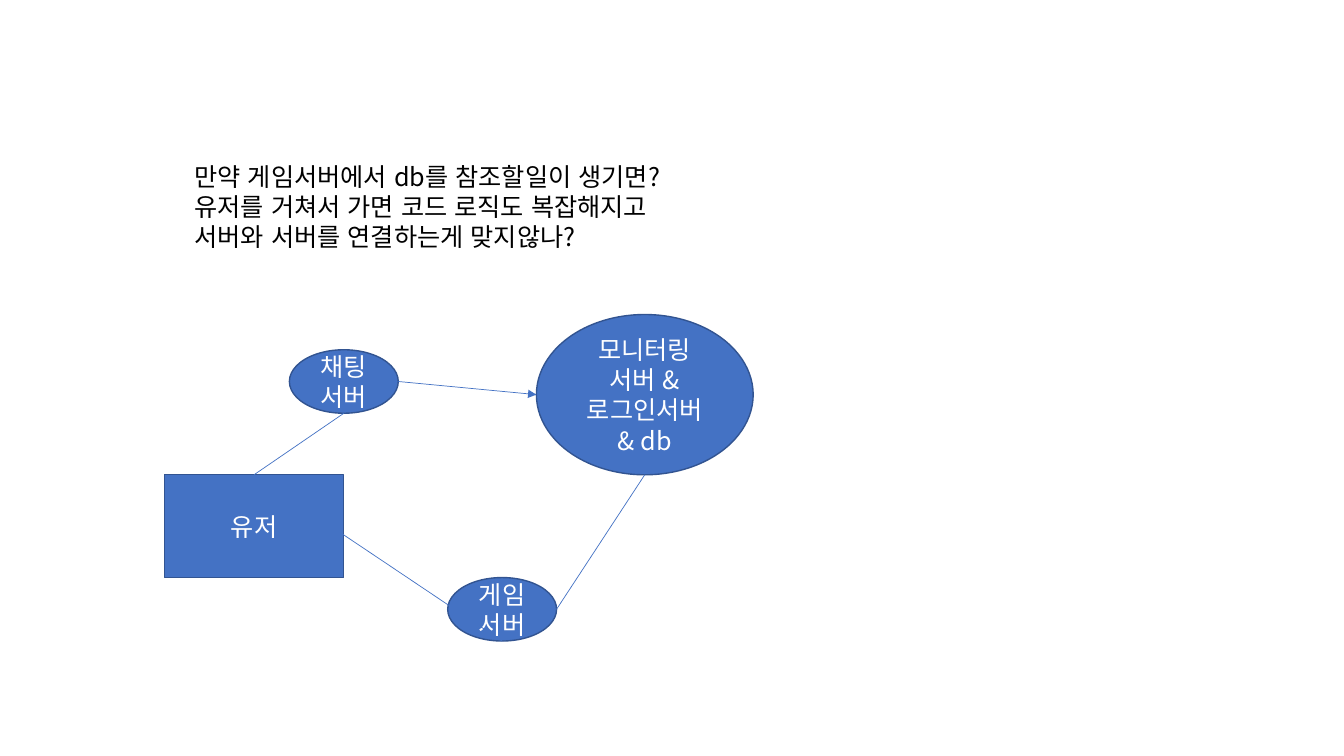
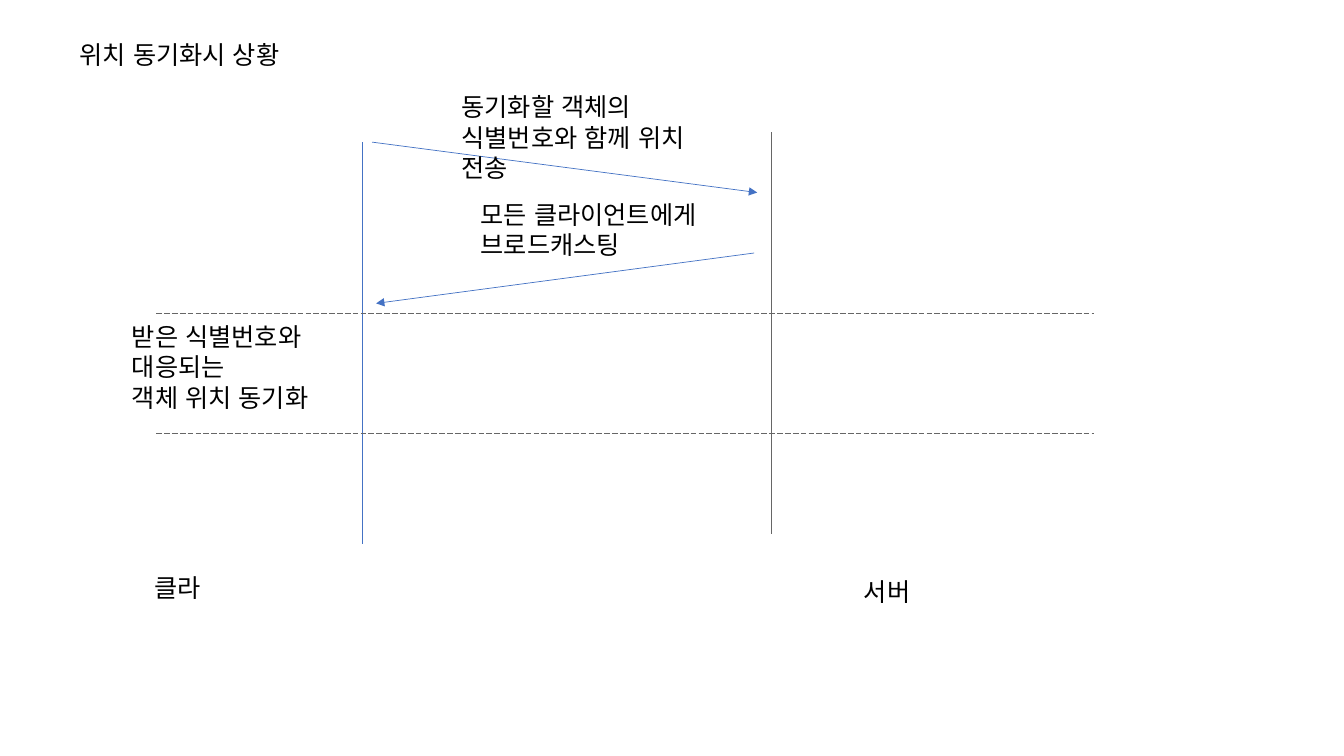
import dataclasses
import typing

import lxml.etree
import pptx
import pptx.dml.color
import pptx.enum.dml
import pptx.enum.lang
import pptx.enum.shapes
import pptx.enum.text
import pptx.oxml.ns
import pptx.util

Inches = pptx.util.Inches
Color = pptx.dml.color.RGBColor
Kind = pptx.enum.shapes.MSO_SHAPE
Align = pptx.enum.text.PP_ALIGN
Anchor = pptx.enum.text.MSO_ANCHOR
Point = tuple[float, float]


@dataclasses.dataclass(frozen=True)
class Theme:
    """Colours, font and sizes that both slides share."""
    blue: Color = Color(0x44, 0x72, 0xC4)
    edge: Color = Color(0x32, 0x54, 0x91)
    gray: Color = Color(0x66, 0x66, 0x66)
    ink: Color = Color(0, 0, 0)
    white: Color = Color(255, 255, 255)
    font: str = "Noto Sans CJK KR"
    size: float = 18
    pitch: float = 21.6
    thin: float = 0.5
    rim: float = 1


THEME = Theme()


@dataclasses.dataclass(frozen=True)
class Box:
    """A place on the slide, in inches, with its lines of text."""
    left: float
    top: float
    width: float
    height: float
    lines: tuple[str, ...]
    kind: Kind = Kind.OVAL

    def frame(self) -> list[int]:
        """Return left, top, width and height as lengths."""
        return [Inches(n) for n in (self.left, self.top, self.width, self.height)]

    def spot(self, across: float, down: float) -> Point:
        """Return the point at the given shares of width and height."""
        return self.left + across * self.width, self.top + down * self.height


@dataclasses.dataclass(frozen=True)
class Link:
    """A straight line between two points, with an optional arrow."""
    start: Point
    end: Point
    color: Color = THEME.blue
    arrow: bool = False
    dash: bool = False


def add_tag(parent: typing.Any, tag: str, **values: str) -> None:
    """Append a DrawingML element to its parent."""
    lxml.etree.SubElement(parent, pptx.oxml.ns.qn(tag), **values)


def write(frame: typing.Any, lines: tuple[str, ...], color: Color, align: Align) -> None:
    """Fill a text frame, one paragraph a line."""
    frame.word_wrap = True
    for i, line in enumerate(lines):
        para = frame.add_paragraph() if i else frame.paragraphs[0]
        para.alignment = align
        para.line_spacing = pptx.util.Pt(THEME.pitch)
        run = para.add_run()
        run.text = line
        run.font.size = pptx.util.Pt(THEME.size)
        run.font.name = THEME.font
        run.font.color.rgb = color
        run.font.language_id = pptx.enum.lang.MSO_LANGUAGE_ID.KOREAN
        add_tag(run.font._element, "a:ea", typeface=THEME.font)


def add_note(slide: typing.Any, box: Box) -> None:
    """Add a plain text box that grows with its text."""
    note = slide.shapes.add_textbox(*box.frame())
    write(note.text_frame, box.lines, THEME.ink, Align.LEFT)
    note.text_frame.auto_size = pptx.enum.text.MSO_AUTO_SIZE.SHAPE_TO_FIT_TEXT


def add_head(slide: typing.Any, box: Box) -> None:
    """Move and fill the title placeholder."""
    head = slide.shapes.title
    head.left, head.top, head.width, head.height = box.frame()
    write(head.text_frame, box.lines, THEME.ink, Align.LEFT)
    head.text_frame.vertical_anchor = Anchor.TOP
    head.text_frame.auto_size = pptx.enum.text.MSO_AUTO_SIZE.SHAPE_TO_FIT_TEXT


def add_node(slide: typing.Any, box: Box) -> None:
    """Add a blue shape with white centred text."""
    node = slide.shapes.add_shape(box.kind, *box.frame())
    node.shadow.inherit = False
    node.fill.solid()
    node.fill.fore_color.rgb = THEME.blue
    node.line.color.rgb = THEME.edge
    node.line.width = pptx.util.Pt(THEME.rim)
    node.text_frame.vertical_anchor = Anchor.MIDDLE
    write(node.text_frame, box.lines, THEME.white, Align.CENTER)


def add_link(slide: typing.Any, link: Link) -> None:
    """Draw a thin line, dashed or with an arrow where asked."""
    ends = [Inches(n) for n in (*link.start, *link.end)]
    wire = slide.shapes.add_connector(pptx.enum.shapes.MSO_CONNECTOR.STRAIGHT, *ends)
    wire.line.color.rgb = link.color
    wire.line.width = pptx.util.Pt(THEME.thin)
    if link.dash:
        wire.line.dash_style = pptx.enum.dml.MSO_LINE.LONG_DASH
    props = wire._element.spPr
    if link.arrow:
        add_tag(props.find(pptx.oxml.ns.qn("a:ln")), "a:tailEnd", type="triangle")
    add_tag(props, "a:effectLst")


def draw_map(deck: typing.Any) -> None:
    """Draw the user and the servers it reaches."""
    slide = deck.slides.add_slide(deck.slide_layouts[6])
    user = Box(1.63, 4.71, 1.78, 1.02, ("유저",), Kind.RECTANGLE)
    hub = Box(5.32, 3.12, 2.15, 1.59, ("모니터링 서버 & 로그인서버 & db",))
    chat = Box(2.87, 3.47, 1.08, 0.63, ("채팅서버",))
    game = Box(4.44, 5.73, 1.08, 0.63, ("게임 서버",))
    for node in (user, hub, chat, game):
        add_node(slide, node)
    for link in (
        Link(user.spot(0.5, 0), chat.spot(0.5, 1)),
        Link(game.spot(0.5, 1), user.spot(0.5, 0)),
        Link(game.spot(1, 0.5), hub.spot(0.5, 1)),
        Link(chat.spot(1, 0.5), hub.spot(0, 0.5), arrow=True),
    ):
        add_link(slide, link)
    add_note(slide, Box(1.83, 1.55, 5.81, 1.31, (
        "만약 게임서버에서 db를 참조할일이 생기면?",
        "유저를 거쳐서 가면 코드 로직도 복잡해지고",
        "서버와 서버를 연결하는게 맞지않나?",
    )))


def draw_sync(deck: typing.Any) -> None:
    """Draw the exchange that keeps places in sync."""
    slide = deck.slides.add_slide(deck.slide_layouts[5])
    add_head(slide, Box(0.69, 0.34, 3.84, 0.4, ("위치 동기화시 상황",)))
    for link in (
        Link((3.59, 1.41), (3.59, 5.4)),
        Link((7.65, 1.31), (7.65, 5.3), THEME.gray),
        Link((3.69, 1.41), (7.51, 1.91), arrow=True),
        Link((7.48, 2.51), (3.73, 3.01), arrow=True),
        *(Link((1.55, y), (10.85, y), THEME.gray, dash=True) for y in (3.11, 4.3)),
    ):
        add_link(slide, link)
    for note in (
        Box(1.43, 5.63, 2.49, 0.4, ("클라",)),
        Box(8.47, 5.67, 2.49, 0.4, ("서버",)),
        Box(4.48, 0.86, 2.81, 0.71, ("동기화할 객체의 식별번호와 함께 위치 전송",)),
        Box(4.67, 1.93, 2.36, 0.71, ("모든 클라이언트에게 브로드캐스팅",)),
        Box(1.21, 3.14, 2.19, 1.01, ("받은 식별번호와 대응되는", "객체 위치 동기화")),
    ):
        add_note(slide, note)


def main() -> None:
    """Build both slides and save the deck."""
    deck = pptx.Presentation()
    deck.slide_width, deck.slide_height = Inches(13.33), Inches(7.5)
    draw_map(deck)
    draw_sync(deck)
    deck.save("out.pptx")


main()
